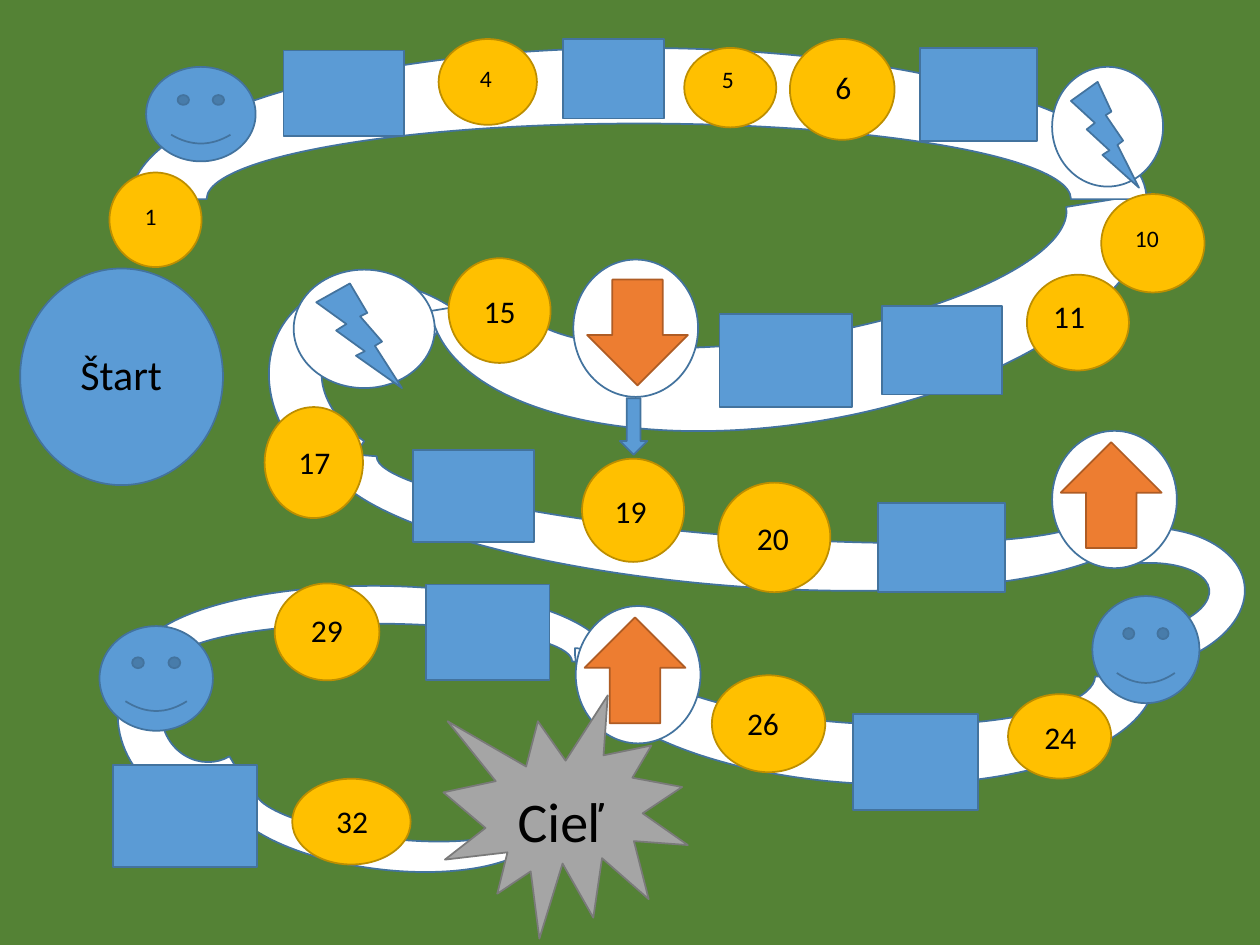
from pptx import Presentation
from pptx.dml.color import RGBColor
from pptx.enum.shapes import MSO_SHAPE as S
from pptx.util import Pt

GREEN = RGBColor(0x54, 0x82, 0x35)
WHITE = RGBColor(0xFF, 0xFF, 0xFF)
BLACK = RGBColor(0, 0, 0)
BLUE, BLUE_EDGE = RGBColor(0x5B, 0x9B, 0xD5), RGBColor(0x43, 0x73, 0x9E)
GOLD, GOLD_EDGE = RGBColor(0xFF, 0xC0, 0), RGBColor(0xBD, 0x8E, 0)
ORANGE, ORANGE_EDGE = RGBColor(0xED, 0x7D, 0x31), RGBColor(0xAF, 0x5C, 0x24)
GRAY, GRAY_EDGE = RGBColor(0xA5, 0xA5, 0xA5), RGBColor(0x7A, 0x7A, 0x7A)

prs = Presentation()
prs.slide_width, prs.slide_height = Pt(720), Pt(540)
s = prs.slides.add_slide(prs.slide_layouts[6])
s.background.fill.solid()
s.background.fill.fore_color.rgb = GREEN


def add_shape(parent, kind, box, fill=BLUE, edge=BLUE_EDGE, rotation=0):
    sp = parent.shapes.add_shape(kind, *map(Pt, box))
    sp.shadow.inherit = False
    sp.fill.solid()
    sp.fill.fore_color.rgb = fill
    sp.line.color.rgb = edge
    sp.line.width = Pt(1)
    sp.rotation = rotation


def add_label(parent, label, size, box):
    tf = parent.shapes.add_textbox(*map(Pt, box)).text_frame
    tf.word_wrap = True
    tf.text = label
    font = tf.paragraphs[0].runs[0].font
    font.name, font.size = "Calibri", Pt(size)
    font.color.rgb = BLACK


# Winding track, from the finish back to the start
for box, rotation in [
    ((127.4, 424.8, 184.3, 72), 187.1),
    ((66.2, 359.3, 103, 100.1), 239.5),
    ((78.5, 334.8, 270, 86.4), 0),
    ((328.3, 311, 331.9, 136.8), 183.1),
    ((605.5, 277.2, 81.4, 131), 82.4),
    ((185.8, 219.6, 468, 115.2), 184.6),
    ((164.2, 151.2, 121.7, 151.2), 303.8),
    ((243.4, 46.1, 416.9, 195.8), 170.7),
    ((74.9, 27.4, 580.3, 172.8), 0),
]:
    add_shape(s, S.BLOCK_ARC, box, WHITE, rotation=rotation)

start = s.shapes.add_group_shape()
add_shape(start, S.OVAL, (11.5, 153.4, 115.9, 123.8))
add_label(start, "Štart", 24, (38.9, 195.8, 81.4, 36))

# Plain squares and smiley squares
for box in [
    (162, 28.8, 69.1, 49), (321.8, 22.3, 57.6, 45.4), (525.6, 27.4, 67, 53.3),
    (504, 175, 68.4, 50.4), (411.1, 179.3, 75.6, 53.3), (236.2, 257, 69.1, 52.6),
    (501.8, 287.3, 72.7, 51.1), (487.4, 408.2, 71.3, 54.7),
    (243.4, 334.1, 70.6, 54.7), (64.8, 437, 82.1, 58.3),
]:
    add_shape(s, S.RECTANGLE, box)
for box in [(83.5, 38.2, 62.6, 54), (624.2, 340.6, 61.2, 61.2), (56.9, 357.8, 64.8, 59.8)]:
    add_shape(s, S.SMILEY_FACE, box)

# Numbered squares: label, text size, circle, text box
for label, size, circle, box in [
    ("1", 13.5, (62.6, 98.6, 52.6, 54), (75.6, 111.6, 29.5, 27.4)),
    ("4", 13.5, (250.6, 22.3, 56.2, 49), (267.1, 33.1, 29.5, 33.8)),
    ("5", 13.5, (391, 27.4, 52.6, 45.4), (405.4, 33.8, 23.8, 29.5)),
    ("6", 18, (451.4, 22.3, 59.8, 57.6), (470.2, 35.3, 37.4, 30.2)),
    ("10", 13.5, (629.3, 110.9, 59, 56.2), (641.5, 124.6, 47.5, 31)),
    ("11", 18, (586.8, 157, 58.3, 54.7), (594.7, 166.3, 54, 35.3)),
    ("15", 18, (256.3, 147.6, 58.3, 59.8), (269.3, 163.4, 35.3, 28.8)),
    ("17", 18, (151.2, 232.6, 56.2, 63.4), (163.4, 249.8, 56.2, 28.8)),
    ("19", 18, (332.6, 262.1, 58.3, 59), (344.2, 277.9, 33.1, 28.8)),
    ("20", 18, (410.4, 275.8, 64.1, 62.6), (425.5, 293, 33.8, 28.8)),
    ("24", 18, (576, 396.7, 59, 48.2), (589.7, 406.8, 37.4, 28.8)),
    ("26", 18, (406.8, 385.9, 64.8, 55.4), (419.8, 398.9, 33.8, 28.8)),
    ("29", 18, (157, 333.4, 59.8, 55.4), (170.6, 345.6, 38.9, 28.8)),
    ("32", 18, (167, 445, 67.7, 49), (185, 455, 45.4, 28.8)),
]:
    group = s.shapes.add_group_shape()
    add_shape(group, S.OVAL, circle, GOLD, GOLD_EDGE)
    add_label(group, label, size, box)

# Action squares: white disc with a bolt or an arrow
bolt = (S.LIGHTNING_BOLT, BLUE, BLUE_EDGE, 0)
down = (S.DOWN_ARROW, ORANGE, ORANGE_EDGE, 0)
up = (S.DOWN_ARROW, ORANGE, ORANGE_EDGE, 180)
for disc, box, (kind, fill, edge, rotation) in [
    ((601.2, 38.2, 63.4, 68.4), (612, 46.8, 38.9, 60.5), bolt),
    ((167.8, 154.1, 80.6, 67.7), (180.7, 162, 49, 59.8), bolt),
    ((327.6, 148.3, 71.3, 78.5), (335.5, 159.8, 57.6, 60.5), down),
    ((601.2, 246.2, 71.3, 78.5), (606.2, 252.7, 57.6, 60.5), up),
    ((329, 346.3, 71.3, 78.5), (334.1, 352.8, 57.6, 60.5), up),
]:
    group = s.shapes.add_group_shape()
    add_shape(group, S.OVAL, disc, WHITE)
    add_shape(group, kind, box, fill, edge, rotation)

finish = s.shapes.add_group_shape()
add_shape(finish, S.EXPLOSION1, (253.4, 397.4, 139.7, 139), GRAY, GRAY_EDGE)
add_label(finish, "Cieľ", 32, (288.7, 445.7, 95, 46))

# Shortcut down to square 19
add_shape(s, S.DOWN_ARROW, (354.2, 227.5, 15.8, 32.4))

prs.save("out.pptx")
